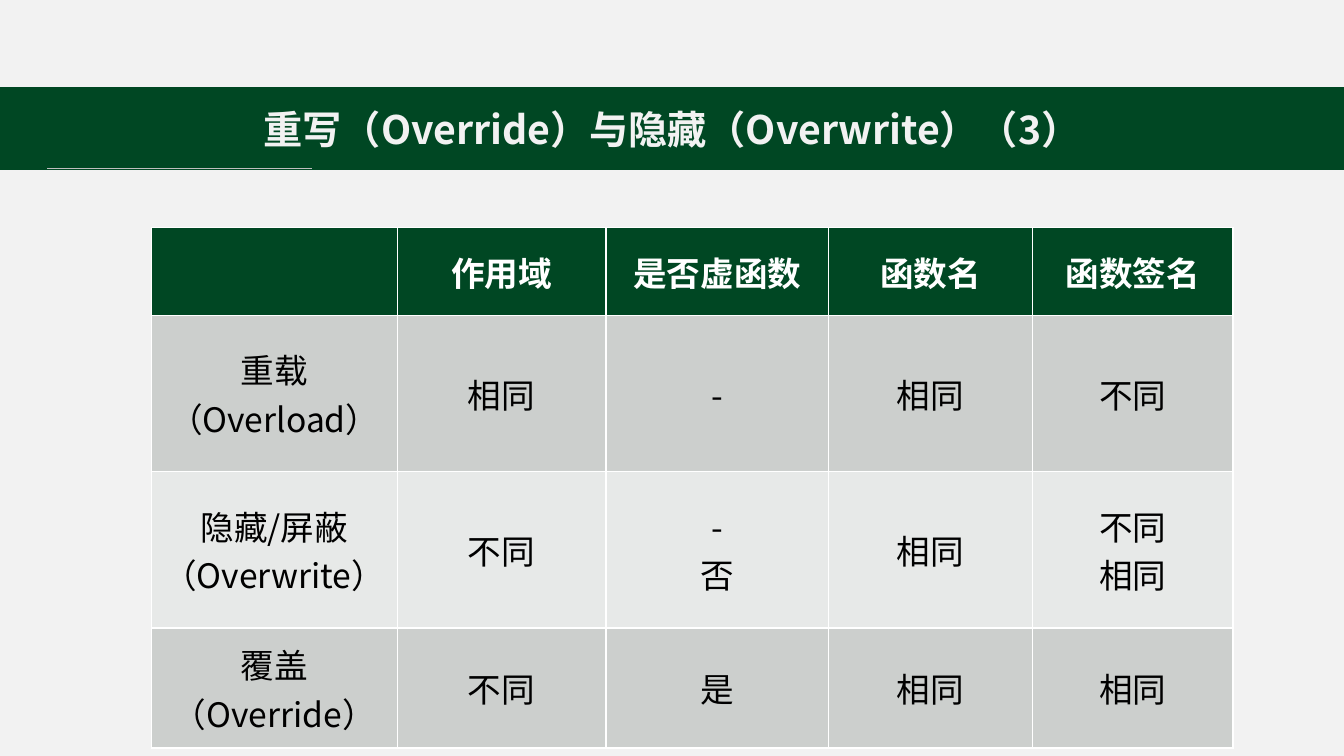
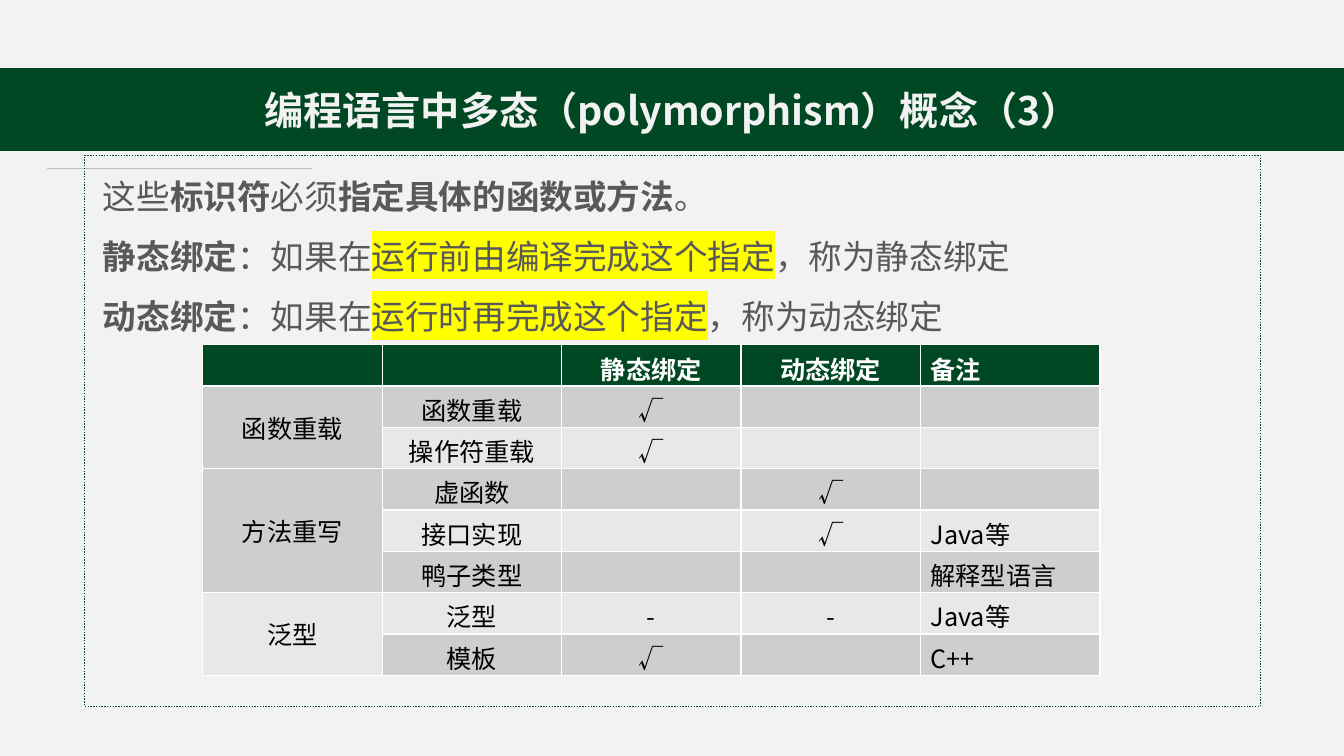
from lxml import etree
from pptx import Presentation
from pptx.dml.color import RGBColor
from pptx.enum.dml import MSO_LINE
from pptx.enum.shapes import MSO_CONNECTOR, MSO_SHAPE
from pptx.enum.text import MSO_ANCHOR, MSO_AUTO_SIZE, PP_ALIGN
from pptx.oxml.ns import qn
from pptx.util import Inches, Pt

GREEN = RGBColor(0x00, 0x47, 0x23)
PAPER = RGBColor(0xF2, 0xF2, 0xF2)
WHITE = RGBColor(0xFF, 0xFF, 0xFF)
BLACK = RGBColor(0x00, 0x00, 0x00)
TEXT_GRAY = RGBColor(0x59, 0x59, 0x59)
RULE_GRAY = RGBColor(0xBF, 0xBF, 0xBF)
ROW_BANDS = [RGBColor(0xE7, 0xE9, 0xE8), RGBColor(0xCC, 0xCF, 0xCD)]
YELLOW = "FFFF00"
FONT = "Noto Sans CJK SC"
WIDTH = 13.33


def style_run(span, size, color, bold=False, highlight=None):
    span.font.size = Pt(size)
    span.font.bold = bold
    span.font.color.rgb = color
    span.font.name = FONT
    properties = span.font._element
    latin = properties.find(qn("a:latin"))
    if highlight:
        mark = etree.Element(qn("a:highlight"))
        etree.SubElement(mark, qn("a:srgbClr"), val=highlight)
        latin.addprevious(mark)
    latin.addnext(etree.Element(qn("a:ea"), typeface=FONT))


def add_grid(page, rows, left, top, widths, heights, size, left_column=None):
    """Add a banded table; left_column is the one column that is not centred."""
    frame = page.shapes.add_table(len(rows), len(widths), Inches(left), Inches(top),
                                  Inches(sum(widths)), Inches(sum(heights)))
    table = frame.table
    for column, width in zip(table.columns, widths):
        column.width = Inches(width)
    for row, height in zip(table.rows, heights):
        row.height = Inches(height)
    for row_index, texts in enumerate(rows):
        is_header = row_index == 0
        for column_index, text in enumerate(texts):
            cell = table.cell(row_index, column_index)
            cell.fill.solid()
            cell.fill.fore_color.rgb = GREEN if is_header else ROW_BANDS[row_index % 2]
            cell.text_frame.text = text
            for para in cell.text_frame.paragraphs:
                if column_index != left_column:
                    para.alignment = PP_ALIGN.CENTER
                for span in para.runs:
                    style_run(span, size, WHITE if is_header else BLACK, is_header)
    return table


deck = Presentation()
deck.slide_width = Inches(WIDTH)
deck.slide_height = Inches(7.5)
background = deck.slide_master.background.fill
background.solid()
background.fore_color.rgb = PAPER

# Shared title band and rule
titles = [
    ("重写（Override）与隐藏（Overwrite）（3）", 0.87),
    ("编程语言中多态（polymorphism）概念（3）", 0.68),
]
pages = []
for title, band_top in titles:
    page = deck.slides.add_slide(deck.slide_layouts[6])
    pages.append(page)
    band = page.shapes.add_shape(MSO_SHAPE.RECTANGLE, 0, Inches(band_top),
                                 Inches(WIDTH), Inches(0.81))
    band.shadow.inherit = False
    band.fill.solid()
    band.fill.fore_color.rgb = GREEN
    band.line.color.rgb = GREEN
    band.line.width = Pt(1)
    band.text_frame.text = title
    band.text_frame.vertical_anchor = MSO_ANCHOR.MIDDLE
    para = band.text_frame.paragraphs[0]
    para.alignment = PP_ALIGN.CENTER
    style_run(para.runs[0], 28, PAPER, bold=True)

    rule = page.shapes.add_connector(MSO_CONNECTOR.STRAIGHT, Inches(0.47), Inches(1.67),
                                     Inches(3.09), Inches(1.67))
    rule.line.color.rgb = RULE_GRAY
    rule.line.width = Pt(0.5)
    etree.SubElement(rule._element.spPr, qn("a:effectLst"))

comparison_page, binding_page = pages

# Slide 1: comparison of overload, overwrite and override
comparison_rows = [
    ["", "作用域", "是否虚函数", "函数名", "函数签名"],
    ["重载\n（Overload）", "相同", "-", "相同", "不同"],
    ["隐藏/屏蔽\n（Overwrite）", "不同", "-\n否", "相同", "不同\n相同"],
    ["覆盖\n（Override）", "不同", "是", "相同", "相同"],
]
comparison = add_grid(comparison_page, comparison_rows, 1.5, 2.26,
                      [2.44, 2.07, 2.21, 2.02, 1.99], [0.87] + [1.19] * 3, 24)
for cell in comparison.iter_cells():
    cell.vertical_anchor = MSO_ANCHOR.MIDDLE

# Slide 2: static and dynamic binding
outline = binding_page.shapes.add_shape(MSO_SHAPE.RECTANGLE, Inches(0.84), Inches(1.54),
                                        Inches(11.66), Inches(5.47))
outline.shadow.inherit = False
outline.fill.background()
outline.line.color.rgb = GREEN
outline.line.width = Pt(1)
outline.line.dash_style = MSO_LINE.ROUND_DOT

# Each piece of text is followed by its bold flag and highlight colour
definitions = [
    [("这些", False, None), ("标识符", True, None), ("必须", False, None),
     ("指定具体的函数或方法", True, None), ("。", False, None)],
    [("静态绑定", True, None), ("：如果在", False, None),
     ("运行前由编译完成这个指定", False, YELLOW), ("，称为静态绑定", False, None)],
    [("动态绑定", True, None), ("：如果在", False, None),
     ("运行时再完成这个指定", False, YELLOW), ("，称为动态绑定", False, None)],
]
box = binding_page.shapes.add_textbox(Inches(1.02), Inches(1.54), Inches(11.3), Inches(1.75))
frame = box.text_frame
frame.word_wrap = True
frame.auto_size = MSO_AUTO_SIZE.SHAPE_TO_FIT_TEXT
frame.margin_left = frame.margin_right = frame.margin_top = frame.margin_bottom = 0
for index, pieces in enumerate(definitions):
    para = frame.add_paragraph() if index else frame.paragraphs[0]
    para.line_spacing = 1.5
    for text, bold, highlight in pieces:
        span = para.add_run()
        span.text = text
        style_run(span, 24, TEXT_GRAY, bold, highlight)

binding_rows = [
    ["", "", "静态绑定", "动态绑定", "备注"],
    ["函数重载", "函数重载", "√", "", ""],
    ["", "操作符重载", "√", "", ""],
    ["方法重写", "虚函数", "", "√", ""],
    ["", "接口实现", "", "√", "Java等"],
    ["", "鸭子类型", "", "", "解释型语言"],
    ["泛型", "泛型", "-", "-", "Java等"],
    ["", "模板", "√", "", "C++"],
]
binding = add_grid(binding_page, binding_rows, 2.01, 3.42, [1.78] * 5,
                   [0.41] * len(binding_rows), 18, left_column=4)
for first_row, last_row in [(1, 2), (3, 5), (6, 7)]:
    group = binding.cell(first_row, 0)
    group.merge(binding.cell(last_row, 0))
    group.vertical_anchor = MSO_ANCHOR.MIDDLE

deck.save("out.pptx")
